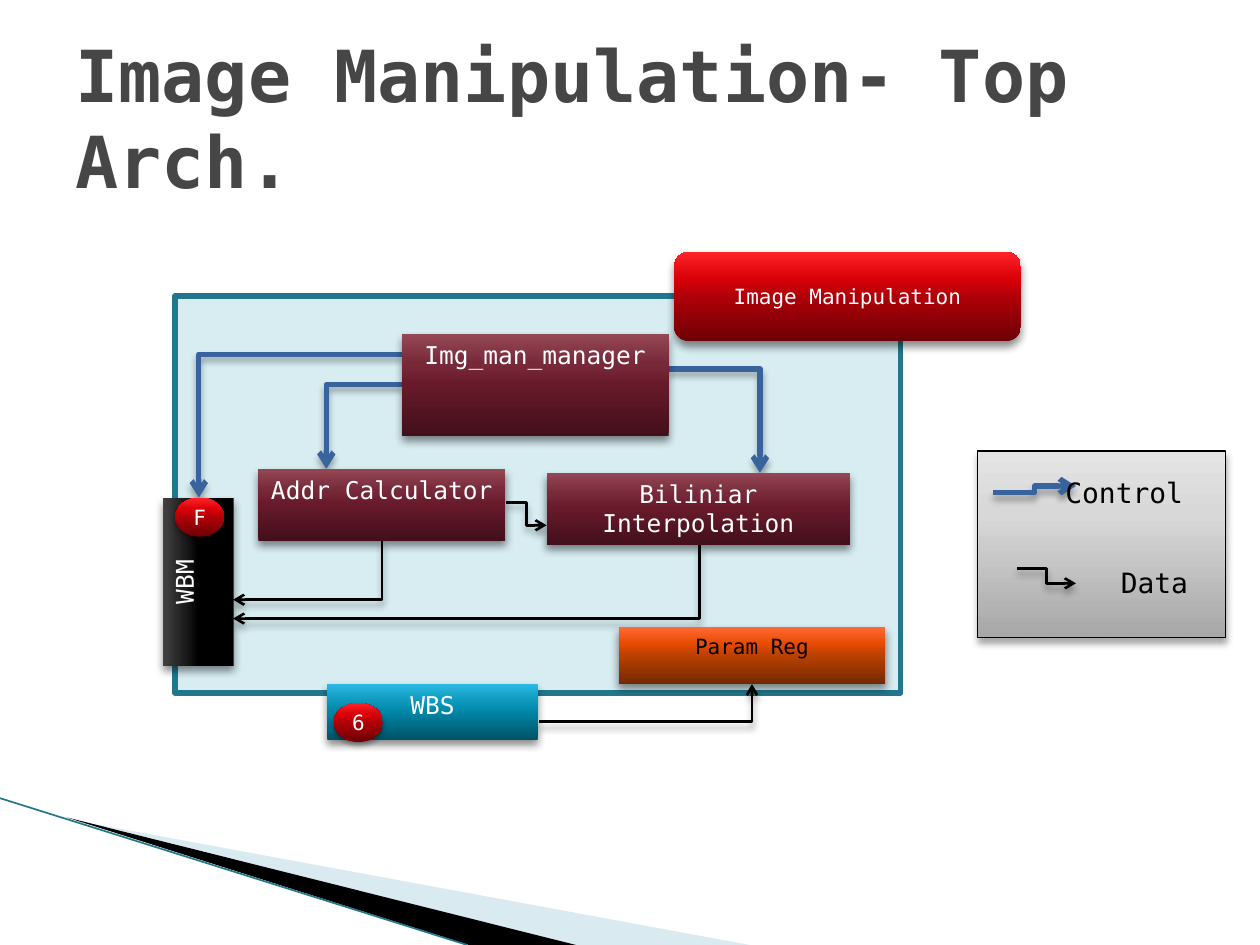
from typing import NamedTuple

from lxml.etree import SubElement
from pptx import Presentation
from pptx.dml.color import RGBColor
from pptx.enum.shapes import MSO_CONNECTOR, MSO_SHAPE
from pptx.enum.text import MSO_ANCHOR, PP_ALIGN
from pptx.oxml.ns import qn
from pptx.util import Cm, Pt

FONT = "DejaVu Sans Mono"
WHITE = RGBColor(0xFF, 0xFF, 0xFF)
BLACK = RGBColor(0, 0, 0)
GREY = RGBColor(0x46, 0x46, 0x46)
BLUE = RGBColor(0x39, 0x63, 0x9D)
AQUA = RGBColor(0x2D, 0xA2, 0xBF)
TEAL = RGBColor(0x21, 0x78, 0x8D)
PALE = RGBColor(0xA0, 0xCB, 0xDC)

Ramp = tuple[tuple[int, RGBColor], ...]


def ramp(*stops: tuple[int, str]) -> Ramp:
    return tuple((pos, RGBColor.from_string(code)) for pos, code in stops)


WINE = ramp((0, "420F1A"), (50, "681A2B"), (70, "772939"), (100, "944755"))
RED = ramp((0, "6D0005"), (50, "B00008"), (70, "DA0008"), (100, "FF2429"))
SEA = ramp((0, "005367"), (50, "0086A7"), (70, "0E9ABE"), (100, "2CB9E3"))
RUST = ramp((0, "732800"), (50, "B94100"), (70, "E64900"), (100, "FF6933"))
COAL = ramp((0, "000000"), (50, "000000"), (70, "1D1D1D"), (100, "424242"))
STEEL = ramp((0, "A7A7A7"), (65, "D8D8D8"), (100, "E4E4E4"))


class Shade(NamedTuple):
    alpha: int
    blur: float
    dist: float


DEEP = Shade(45, 5, 3)
SOFT = Shade(35, 4, 3)
SMALL = Shade(35, 3.1, 1.8)


class Block(NamedTuple):
    text: str
    left: float
    top: float
    width: float
    height: float
    fill: Ramp
    size: int = 14
    ink: RGBColor = WHITE
    form: MSO_SHAPE = MSO_SHAPE.RECTANGLE
    anchor: MSO_ANCHOR = MSO_ANCHOR.TOP
    shade: Shade = DEEP
    turn: int = 0


class Wire(NamedTuple):
    start: tuple[float, float]
    end: tuple[float, float]
    ink: RGBColor = BLACK
    width: float = 1.5
    bend: int = 2
    down: bool = False


class Label(NamedTuple):
    text: str
    left: float
    top: float
    width: float
    height: float
    size: int
    ink: RGBColor
    align: PP_ALIGN
    anchor: MSO_ANCHOR
    bold: bool = False


def badge(text: str, left: float, top: float) -> Block:
    return Block(text, left, top, 0.99, 0.79, RED, 12, WHITE,
                 MSO_SHAPE.OVAL, MSO_ANCHOR.MIDDLE, SMALL)


WIRES = [
    Wire((8.1, 7.75), (6.58, 9.45), BLUE, 3),
    Wire((8.1, 7.14), (4.01, 10.03), BLUE, 3),
    Wire((13.49, 7.44), (15.32, 9.53), BLUE, 3),
    Wire((14.1, 10.97), (4.7, 12.47), down=True),
    Wire((7.7, 10.9), (4.7, 12.09), down=True),
    Wire((10.87, 14.55), (15.16, 13.79)),
    Wire((10.21, 10.13), (11.02, 10.59), bend=3),
]
BLOCKS = [
    Block("WBM", 2.31, 11.02, 3.38, 1.42, COAL, turn=270),
    badge("F", 3.53, 10.03),
    Block("Biliniar Interpolation", 11.02, 9.53, 6.12, 1.45, WINE),
    Block("Addr Calculator", 5.21, 9.45, 4.98, 1.45, WINE),
    Block("WBS", 6.6, 13.79, 4.24, 1.12, SEA),
    badge("6", 6.73, 14.17),
    Block("Image Manipulation", 13.59, 5.08, 6.99, 1.8, RED, 12,
          form=MSO_SHAPE.ROUNDED_RECTANGLE, anchor=MSO_ANCHOR.MIDDLE),
    Block("Param Reg", 12.47, 12.65, 5.38, 1.14, RUST, 12, BLACK),
    Block("Img_man_manager", 8.1, 6.73, 5.38, 2.06, WINE),
]
LEGEND = Block("", 19.71, 9.09, 5, 3.76, STEEL, shade=SOFT)
KEYS = [
    Wire((20.02, 9.93), (21.69, 9.8), BLUE, 3, 3),
    Wire((20.5, 11.46), (21.69, 11.76), bend=3),
]
LABELS = [
    Label("Image Manipulation- Top Arch.", 1.27, 0.76, 22.86, 3.18, 41, GREY,
          PP_ALIGN.LEFT, MSO_ANCHOR.MIDDLE, True),
    Label("Control", 19.99, 9.47, 4.11, 0.94, 16, BLACK,
          PP_ALIGN.RIGHT, MSO_ANCHOR.TOP),
    Label("Data", 20.09, 11.28, 4.11, 0.94, 16, BLACK,
          PP_ALIGN.RIGHT, MSO_ANCHOR.TOP),
]


def cast(props, shade: Shade) -> None:
    effects = props.find(qn("a:effectLst"))
    if effects is None:
        effects = SubElement(props, qn("a:effectLst"))
    outer = SubElement(effects, qn("a:outerShdw"), blurRad=str(Pt(shade.blur)),
                       dist=str(Pt(shade.dist)), dir="5400000", rotWithShape="0")
    tint = SubElement(outer, qn("a:srgbClr"), val="000000")
    SubElement(tint, qn("a:alpha"), val=str(shade.alpha * 1000))


def blend(shape, stops: Ramp) -> None:
    shape.fill.gradient()
    shape.fill.gradient_angle = 90
    bands = shape._element.spPr.find(f".//{qn('a:gsLst')}")
    for band in list(bands):
        bands.remove(band)
    for pos, tint in stops:
        band = SubElement(bands, qn("a:gs"), pos=str(pos * 1000))
        SubElement(band, qn("a:srgbClr"), val=str(tint))


def paint(shape, tint: RGBColor, alpha: int = 100) -> None:
    shape.shadow.inherit = False
    shape.line.fill.background()
    shape.fill.solid()
    shape.fill.fore_color.rgb = tint
    code = shape._element.spPr.find(f"{qn('a:solidFill')}/{qn('a:srgbClr')}")
    SubElement(code, qn("a:alpha"), val=str(alpha * 1000))


def write(shape, text: str, size: int, ink: RGBColor, align: PP_ALIGN,
          anchor: MSO_ANCHOR, bold: bool = False) -> None:
    frame = shape.text_frame
    frame.word_wrap = True
    frame.vertical_anchor = anchor
    para = frame.paragraphs[0]
    para.alignment = align
    run = para.add_run()
    run.text = text
    run.font.name = FONT
    run.font.size = Pt(size)
    run.font.bold = bold
    run.font.color.rgb = ink


def draw_block(slide, block: Block):
    shape = slide.shapes.add_shape(block.form, Cm(block.left), Cm(block.top),
                                   Cm(block.width), Cm(block.height))
    shape.rotation = block.turn
    shape.line.fill.background()
    shape.shadow.inherit = False
    blend(shape, block.fill)
    cast(shape._element.spPr, block.shade)
    if block.text:
        write(shape, block.text, block.size, block.ink, PP_ALIGN.CENTER, block.anchor)
    if block.form == MSO_SHAPE.OVAL:
        frame = shape.text_frame
        frame.margin_left = frame.margin_right = 0
        frame.margin_top = frame.margin_bottom = 0
    return shape


def draw_wire(slide, wire: Wire) -> None:
    (x1, y1), (x2, y2) = wire.start, wire.end
    if wire.down:
        mid_x, mid_y = (x1 + x2) / 2, (y1 + y2) / 2
        half_w, half_h = abs(y2 - y1) / 2, abs(x2 - x1) / 2
        x1, x2 = mid_x - half_w, mid_x + half_w
        y1, y2 = mid_y - half_h, mid_y + half_h
    link = slide.shapes.add_connector(MSO_CONNECTOR.ELBOW, Cm(x1), Cm(y1), Cm(x2), Cm(y2))
    props = link._element.spPr
    props.find(qn("a:prstGeom")).set("prst", f"bentConnector{wire.bend}")
    if wire.down:
        props.find(qn("a:xfrm")).set("rot", "5400000")
    link.line.color.rgb = wire.ink
    link.line.width = Pt(wire.width)
    SubElement(props.find(qn("a:ln")), qn("a:tailEnd"), type="arrow")
    cast(props, SOFT)


def draw_label(slide, label: Label) -> None:
    box = slide.shapes.add_textbox(Cm(label.left), Cm(label.top),
                                   Cm(label.width), Cm(label.height))
    write(box, label.text, label.size, label.ink, label.align, label.anchor, label.bold)


def draw_wedge(slide, points: list[tuple[float, float]], tint: RGBColor, alpha: int) -> None:
    first, *rest = [(Cm(x), Cm(y)) for x, y in points]
    pen = slide.shapes.build_freeform(*first)
    pen.add_line_segments(rest)
    paint(pen.convert_to_shape(), tint, alpha)


def main() -> None:
    deck = Presentation()
    deck.slide_width, deck.slide_height = Cm(25.4), Cm(19.05)
    slide = deck.slides.add_slide(deck.slide_layouts[6])

    draw_wedge(slide, [(1.4, 16.52), (15.11, 19.05), (11.58, 19.05)], PALE, 40)
    draw_wedge(slide, [(1.35, 16.48), (11.61, 19.05), (9.45, 19.05)], BLACK, 100)
    edge = slide.shapes.add_connector(MSO_CONNECTOR.STRAIGHT, 0, Cm(16.09), Cm(9.42), Cm(19.05))
    edge.line.color.rgb = TEAL
    edge.line.width = Pt(0.95)
    SubElement(edge._element.spPr, qn("a:effectLst"))

    panel = slide.shapes.add_shape(MSO_SHAPE.RECTANGLE, Cm(3.53), Cm(5.97), Cm(14.63), Cm(8))
    paint(panel, AQUA, 19)
    panel.line.color.rgb = TEAL
    panel.line.width = Pt(3)

    for wire in WIRES:
        draw_wire(slide, wire)
    for block in BLOCKS:
        draw_block(slide, block)
    legend = draw_block(slide, LEGEND)
    legend.line.color.rgb = BLACK
    legend.line.width = Pt(0.75)
    for key in KEYS:
        draw_wire(slide, key)
    for label in LABELS:
        draw_label(slide, label)
    deck.save("out.pptx")


if __name__ == "__main__":
    main()
